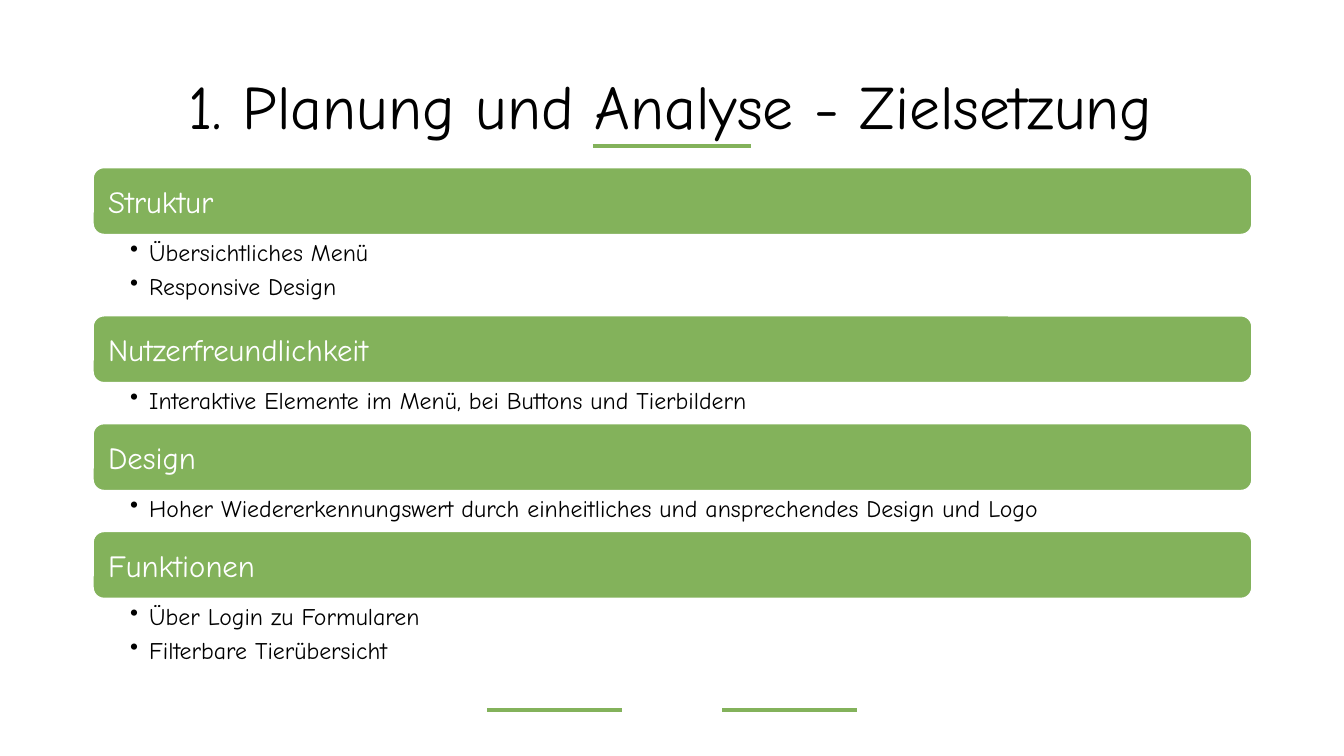
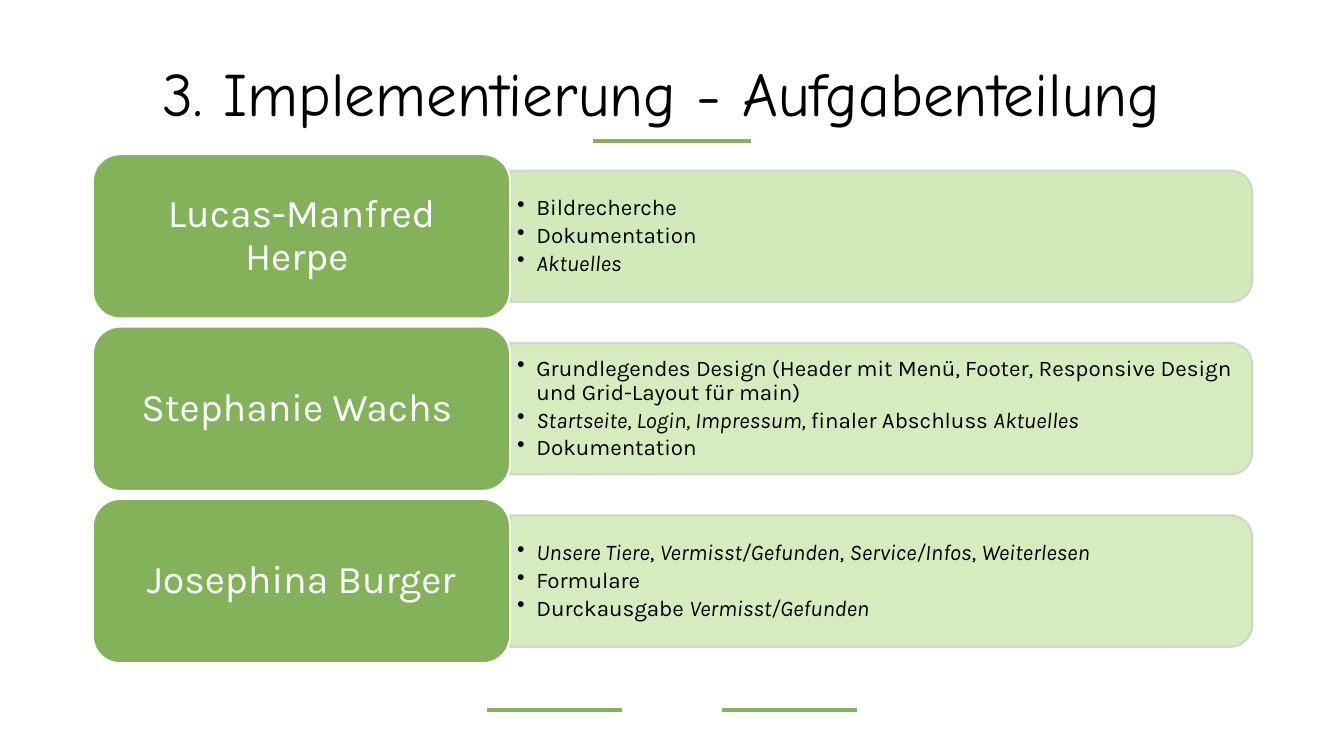
import dataclasses

import pptx
import pptx.dml.color
import pptx.enum.shapes
import pptx.enum.text
import pptx.oxml
import pptx.oxml.ns
import pptx.util

Inches = pptx.util.Inches
Shape = pptx.enum.shapes.MSO_SHAPE
Align = pptx.enum.text.PP_ALIGN
Anchor = pptx.enum.text.MSO_ANCHOR


@dataclasses.dataclass(frozen=True)
class Theme:
    green: str = "83B25B"
    pale_green: str = "D2EAB9"
    pale_line: str = "CCD4CD"
    white: str = "FFFFFF"
    black: str = "000000"
    display_font: str = "Comic Neue"
    body_font: str = "Karla"
    title_size: int = 44
    name_size: int = 28
    heading_size: int = 22
    goal_size: int = 17
    task_size: int = 16
    outline: float = 1.5
    rule: int = 3


THEME = Theme()
WIDTH, HEIGHT = 13.33, 7.5
LEFT, CONTENT_WIDTH = 0.92, 11.5
BULLET_INDENT = 0.19

GOALS_TITLE = "1. Planung und Analyse - Zielsetzung"
GOALS = [
    ("Struktur", ["Übersichtliches Menü", "Responsive Design"]),
    ("Nutzerfreundlichkeit", ["Interaktive Elemente im Menü, bei Buttons und Tierbildern"]),
    ("Design", ["Hoher Wiedererkennungswert durch einheitliches und "
                "ansprechendes Design und Logo"]),
    ("Funktionen", ["Über Login zu Formularen", "Filterbare Tierübersicht"]),
]

# Asterisks enclose italic words; the number is the panel's opacity in percent.
TASKS_TITLE = "3. Implementierung - Aufgabenteilung "
TASKS = [
    ("Lucas-Manfred Herpe ", 100, ["Bildrecherche", "Dokumentation", "*Aktuelles*"]),
    ("Stephanie Wachs ", 90, [
        "Grundlegendes Design (Header mit Menü, Footer, Responsive Design "
        "und Grid-Layout für main)",
        "*Startseite, Login, Impressum, *finaler Abschluss *Aktuelles*",
        "Dokumentation",
    ]),
    ("Josephina Burger", 90, [
        "*Unsere Tiere*, *Vermisst/Gefunden*, *Service/Infos*, *Weiterlesen*",
        "Formulare",
        "Durckausgabe *Vermisst/Gefunden*",
    ]),
]

TITLE_TEXT = dict(font=THEME.display_font, size=THEME.title_size, color=THEME.black,
                  insets=(0.1, 0.05), paragraph=dict(alignment=Align.CENTER, line_spacing=0.9))
HEADING_TEXT = dict(font=THEME.display_font, size=THEME.heading_size, color=THEME.white,
                    insets=(0.12, 0.12), paragraph=dict(alignment=Align.LEFT))
GOAL_TEXT = dict(font=THEME.display_font, size=THEME.goal_size, color=THEME.black,
                 insets=(0.37, 0.03), anchor=Anchor.TOP, bullets=True,
                 paragraph=dict(space_after=pptx.util.Pt(4)))
NAME_TEXT = dict(font=THEME.body_font, size=THEME.name_size, color=THEME.white,
                 insets=(0.2, 0.14), paragraph=dict(alignment=Align.CENTER, line_spacing=0.9))
TASK_TEXT = dict(font=THEME.body_font, size=THEME.task_size, color=THEME.black,
                 insets=(0.07, 0.03), bullets=True,
                 paragraph=dict(line_spacing=0.9, space_after=pptx.util.Pt(2.5)))


def rgb(value):
    return pptx.dml.color.RGBColor.from_string(value)


def xml_child(parent, tag, **attributes):
    child = pptx.oxml.parse_xml(f"<a:{tag} {pptx.oxml.ns.nsdecls('a')}/>")
    for name, value in attributes.items():
        child.set(name, value)
    parent.append(child)


def set_opacity(color_fill, percent):
    """Make a solid colour partly transparent; 100 leaves it opaque."""
    if percent < 100:
        color = color_fill.find(".//" + pptx.oxml.ns.qn("a:srgbClr"))
        xml_child(color, "alpha", val=str(percent * 1000))


def write(shape, lines, font, size, color, insets, paragraph,
          anchor=Anchor.MIDDLE, bullets=False):
    frame = shape.text_frame
    side, end = (Inches(inset) for inset in insets)
    layout = dict(word_wrap=True, vertical_anchor=anchor, margin_left=side,
                  margin_right=side, margin_top=end, margin_bottom=end)
    for name, value in layout.items():
        setattr(frame, name, value)
    for index, line in enumerate(lines):
        entry = frame.add_paragraph() if index else frame.paragraphs[0]
        if bullets:
            properties = entry._p.get_or_add_pPr()
            properties.set("marL", str(Inches(BULLET_INDENT)))
            properties.set("indent", str(-Inches(BULLET_INDENT)))
            xml_child(properties, "buChar", char="•")
        for name, value in paragraph.items():
            setattr(entry, name, value)
        for part, words in enumerate(line.split("*")):
            if words:
                run = entry.add_run()
                run.text = words
                styling = dict(name=font, size=pptx.util.Pt(size), italic=part % 2 == 1)
                for name, value in styling.items():
                    setattr(run.font, name, value)
                run.font.color.rgb = rgb(color)


def add_text(slide, box, lines, style):
    write(slide.shapes.add_textbox(*map(Inches, box)), lines, **style)


def add_panel(slide, kind, box, fill, line):
    panel = slide.shapes.add_shape(kind, *map(Inches, box))
    panel.shadow.inherit = False
    panel.fill.solid()
    panel.fill.fore_color.rgb = rgb(fill)
    panel.line.color.rgb = rgb(line)
    panel.line.width = pptx.util.Pt(THEME.outline)
    return panel


def add_rule(slide, center, y, length):
    rule = slide.shapes.add_connector(
        pptx.enum.shapes.MSO_CONNECTOR.STRAIGHT,
        Inches(center - length / 2), Inches(y), Inches(center + length / 2), Inches(y))
    rule.line.color.rgb = rgb(THEME.green)
    rule.line.width = pptx.util.Pt(THEME.rule)
    xml_child(rule._element.spPr, "effectLst")


def add_base(deck, title, title_box, title_rule_y):
    """Add a slide with its title, title rule and the two footer rules."""
    slide = deck.slides.add_slide(deck.slide_layouts[6])
    add_text(slide, title_box, [title], TITLE_TEXT)
    middle, footer_length, footer_gap = WIDTH / 2, WIDTH / 10, 1
    add_rule(slide, middle, title_rule_y, 1.57)
    for direction in (-1, 1):
        center = middle + direction * (footer_gap + footer_length) / 2
        add_rule(slide, center, 7.04, footer_length)
    return slide


def add_goals(deck):
    slide = add_base(deck, GOALS_TITLE, (0.36, 0.35, 12.59, 1.48), 1.45)
    heading_height, goal_height = 0.67, 0.4
    top = 1.66
    for heading, goals in GOALS:
        bar = add_panel(slide, Shape.ROUNDED_RECTANGLE,
                        (LEFT, top, CONTENT_WIDTH, heading_height), THEME.green, THEME.white)
        write(bar, [heading], **HEADING_TEXT)
        top += heading_height
        list_height = goal_height * len(goals)
        add_text(slide, (LEFT, top, CONTENT_WIDTH, list_height), goals, GOAL_TEXT)
        top += list_height


def add_tasks(deck):
    slide = add_base(deck, TASKS_TITLE, (0.29, 0.22, 12.75, 1.48), 1.4)
    first_top, card_height, gap = 1.53, 1.63, 0.08
    card_width = CONTENT_WIDTH * 0.36
    panel_left, panel_width = LEFT + card_width, CONTENT_WIDTH - card_width
    panel_height, text_height = card_height * 0.8, 1.18
    for row, (person, opacity, tasks) in enumerate(TASKS):
        top = first_top + row * (card_height + gap)
        center_x, center_y = panel_left + panel_width / 2, top + card_height / 2
        panel = add_panel(slide, Shape.ROUND_2_SAME_RECTANGLE,
                          (center_x - panel_height / 2, center_y - panel_width / 2,
                           panel_height, panel_width), THEME.pale_green, THEME.pale_line)
        panel.rotation = 90
        properties = panel._element.spPr
        set_opacity(properties.find(pptx.oxml.ns.qn("a:solidFill")), opacity)
        set_opacity(properties.find(pptx.oxml.ns.qn("a:ln")), 90)
        add_text(slide, (panel_left, center_y - text_height / 2,
                         panel_width - 0.06, text_height), tasks, TASK_TEXT)
        card = add_panel(slide, Shape.ROUNDED_RECTANGLE,
                         (LEFT, top, card_width, card_height), THEME.green, THEME.white)
        write(card, [person], **NAME_TEXT)


def main():
    deck = pptx.Presentation()
    deck.slide_width, deck.slide_height = Inches(WIDTH), Inches(HEIGHT)
    add_goals(deck)
    add_tasks(deck)
    deck.save("out.pptx")


if __name__ == "__main__":
    main()
